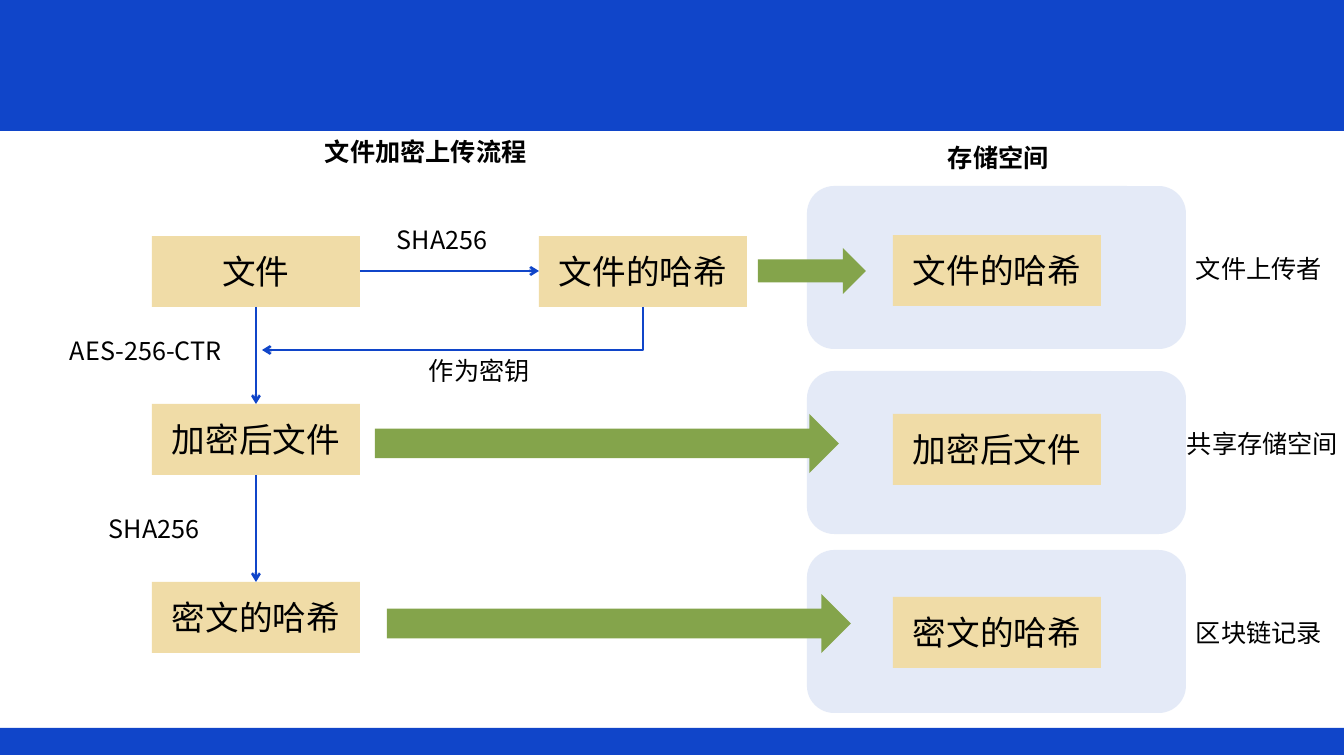
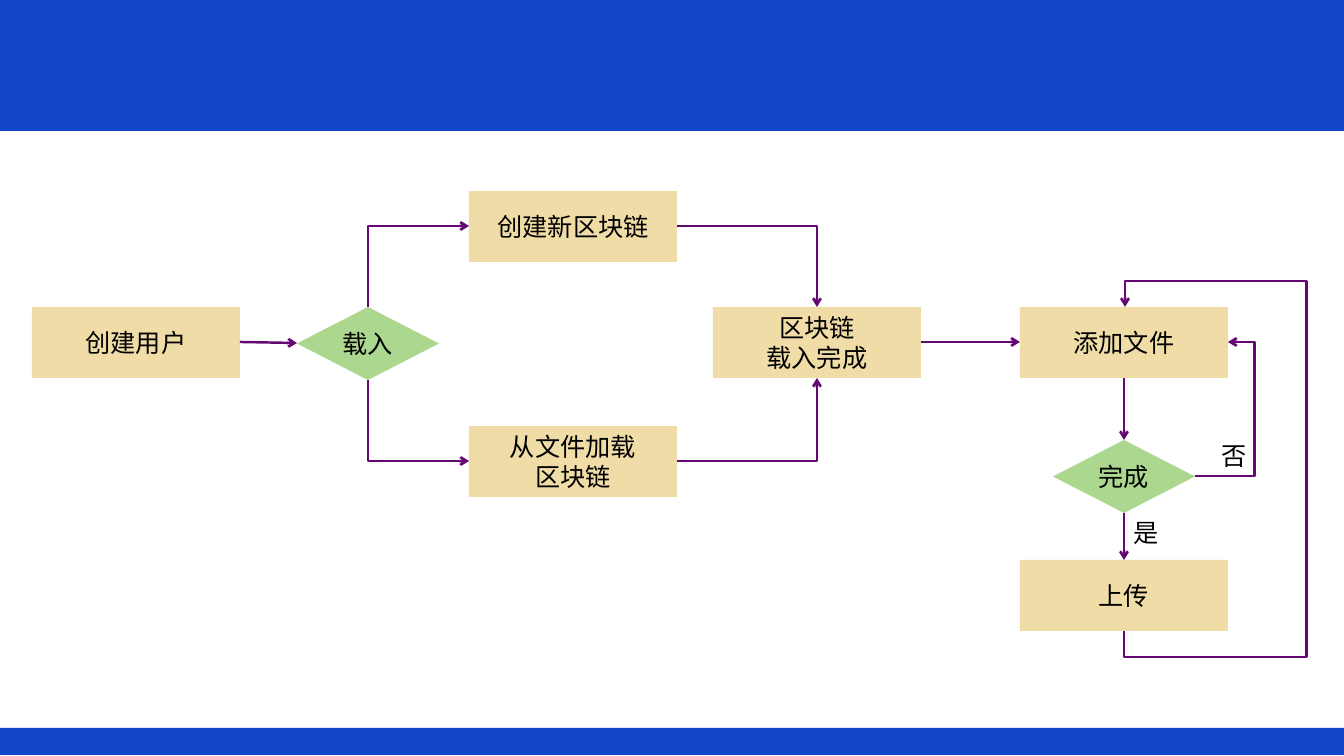
from lxml.etree import SubElement
from pptx import Presentation
from pptx.dml.color import RGBColor
from pptx.enum.shapes import MSO_CONNECTOR, MSO_SHAPE
from pptx.enum.text import PP_ALIGN
from pptx.oxml.ns import qn
from pptx.util import Pt

PX = 12192000 / 1344
FONT = "Noto Sans CJK SC"
BLUE, PURPLE, BLACK = "1045C9", "660874", "000000"
SAND, LEAF, OLIVE, MIST = "F0DCA7", "ACD78E", "84A44B", "B6C7EA"
CARD_W, CARD_H = 208, 71
DIAMOND_W, DIAMOND_H = 142, 73
LABEL_H = 40


def add_block(slide, kind, box, fill=None, text="", size=18, bold=False):
    """Add a filled shape with centred text, or a plain label if kind is None."""
    place = [int(value * PX) for value in box]
    if kind is None:
        block = slide.shapes.add_textbox(*place)
    else:
        block = slide.shapes.add_shape(kind, *place)
        block.shadow.inherit = False
        block.fill.solid()
        block.fill.fore_color.rgb = RGBColor.from_string(fill)
        block.line.fill.background()
    block.text_frame.word_wrap = True
    block.text_frame.text = text
    for paragraph in block.text_frame.paragraphs:
        paragraph.alignment = PP_ALIGN.LEFT if kind is None else PP_ALIGN.CENTER
        for run in paragraph.runs:
            run.font.name = FONT
            run.font.size = Pt(size)
            run.font.bold = bold
            run.font.color.rgb = RGBColor.from_string(BLACK)
            SubElement(run.font._element, qn("a:ea"), typeface=FONT)
    return block


def add_arrow(slide, start, end, color, preset="line", upright=False, bends=()):
    """Add an arrow; upright ones leave vertically, bends are fractions of the span."""
    (x1, y1), (x2, y2) = start, end
    if upright:
        # Turn both ends back a quarter; the rot attribute turns them forward again.
        cx, cy, dx, dy = (x1 + x2) / 2, (y1 + y2) / 2, (x2 - x1) / 2, (y2 - y1) / 2
        x1, y1, x2, y2 = cx - dy, cy + dx, cx + dy, cy - dx
    ends = [int(value * PX) for value in (x1, y1, x2, y2)]
    arrow = slide.shapes.add_connector(MSO_CONNECTOR.STRAIGHT, *ends)
    arrow.line.color.rgb = RGBColor.from_string(color)
    arrow.line.width = Pt(1.75)
    properties = arrow._element.spPr
    SubElement(properties.find(qn("a:ln")), qn("a:tailEnd"), type="arrow")
    SubElement(properties, qn("a:effectLst"))
    geometry = properties.find(qn("a:prstGeom"))
    geometry.set("prst", preset)
    guides = geometry.find(qn("a:avLst"))
    for number, bend in enumerate(bends, 1):
        SubElement(guides, qn("a:gd"), name=f"adj{number}", fmla=f"val {round(bend * 100000)}")
    if upright:
        properties.find(qn("a:xfrm")).set("rot", "5400000")


prs = Presentation()
prs.slide_width, prs.slide_height = int(1344 * PX), int(756 * PX)
upload, workflow = [prs.slides.add_slide(prs.slide_layouts[6]) for _ in range(2)]
for slide in (upload, workflow):
    for top, height in ((0, 131), (728, 27)):
        add_block(slide, MSO_SHAPE.RECTANGLE, (0, top, 1344, height), BLUE)

# Encryption and upload
for left, top, text in (
    (152, 236, "文件"),
    (539, 236, "文件的哈希"),
    (152, 404, "加密后文件"),
    (152, 582, "密文的哈希"),
):
    add_block(upload, MSO_SHAPE.RECTANGLE, (left, top, CARD_W, CARD_H), SAND, text, 24)

add_arrow(upload, (360, 271), (539, 271), BLUE)
add_arrow(upload, (256, 307), (256, 404), BLUE)
add_arrow(upload, (256, 475), (256, 582), BLUE)
add_arrow(upload, (643, 307), (262, 350), BLUE, "bentConnector2", upright=True)

for area_top, card_top, text in (
    (186, 235, "文件的哈希"),
    (371, 414, "加密后文件"),
    (550, 597, "密文的哈希"),
):
    area = add_block(upload, MSO_SHAPE.ROUNDED_RECTANGLE, (807, area_top, 379, 163), MIST)
    tint = area.fill._xPr.find(qn("a:solidFill"))[0]
    SubElement(tint, qn("a:alpha"), val="36000")
    add_block(upload, MSO_SHAPE.RECTANGLE, (893, card_top, CARD_W, CARD_H), SAND, text, 24)

for transfer in ((758, 248, 108, 46), (375, 414, 464, 59), (387, 594, 464, 59)):
    add_block(upload, MSO_SHAPE.RIGHT_ARROW, transfer, OLIVE)

for left, top, width, text, bold in (
    (99, 508, 125, "SHA256", False),
    (387, 219, 125, "SHA256", False),
    (419, 350, 135, "作为密钥", False),
    (60, 330, 202, "AES-256-CTR", False),
    (1186, 248, 157, "文件上传者", False),
    (1177, 423, 173, "共享存储空间", False),
    (1186, 612, 157, "区块链记录", False),
    (315, 131, 239, "文件加密上传流程", True),
    (938, 137, 143, "存储空间", True),
):
    add_block(upload, None, (left, top, width, LABEL_H), text=text, bold=bold)

# Blockchain workflow
for left, top, text in (
    (32, 307, "创建用户"),
    (469, 191, "创建新区块链"),
    (469, 426, "从文件加载\n区块链"),
    (713, 307, "区块链\n载入完成"),
    (1020, 307, "添加文件"),
    (1020, 560, "上传"),
):
    add_block(workflow, MSO_SHAPE.RECTANGLE, (left, top, CARD_W, CARD_H), SAND, text)
for left, top, text in ((297, 307, "载入"), (1053, 440, "完成")):
    add_block(workflow, MSO_SHAPE.DIAMOND, (left, top, DIAMOND_W, DIAMOND_H), LEAF, text)

for start, end in (
    ((240, 342), (297, 343)),
    ((921, 342), (1020, 342)),
    ((1124, 378), (1124, 440)),
    ((1124, 513), (1124, 560)),
):
    add_arrow(workflow, start, end, PURPLE)
for start, end, upright in (
    ((368, 307), (469, 226), True),
    ((368, 380), (469, 461), True),
    ((677, 226), (817, 307), False),
    ((677, 461), (817, 378), False),
):
    add_arrow(workflow, start, end, PURPLE, "bentConnector2", upright)
add_arrow(workflow, (1195, 476), (1228, 342), PURPLE, "bentConnector3", bends=[1.8])
add_arrow(workflow, (1124, 631), (1125, 307), PURPLE, "bentConnector5", True, [-0.08, 184, 1.08])

for left, top, width, text in ((1124, 512, 73, "是"), (1212, 435, 46, "否")):
    add_block(workflow, None, (left, top, width, LABEL_H), text=text)

prs.save("out.pptx")
